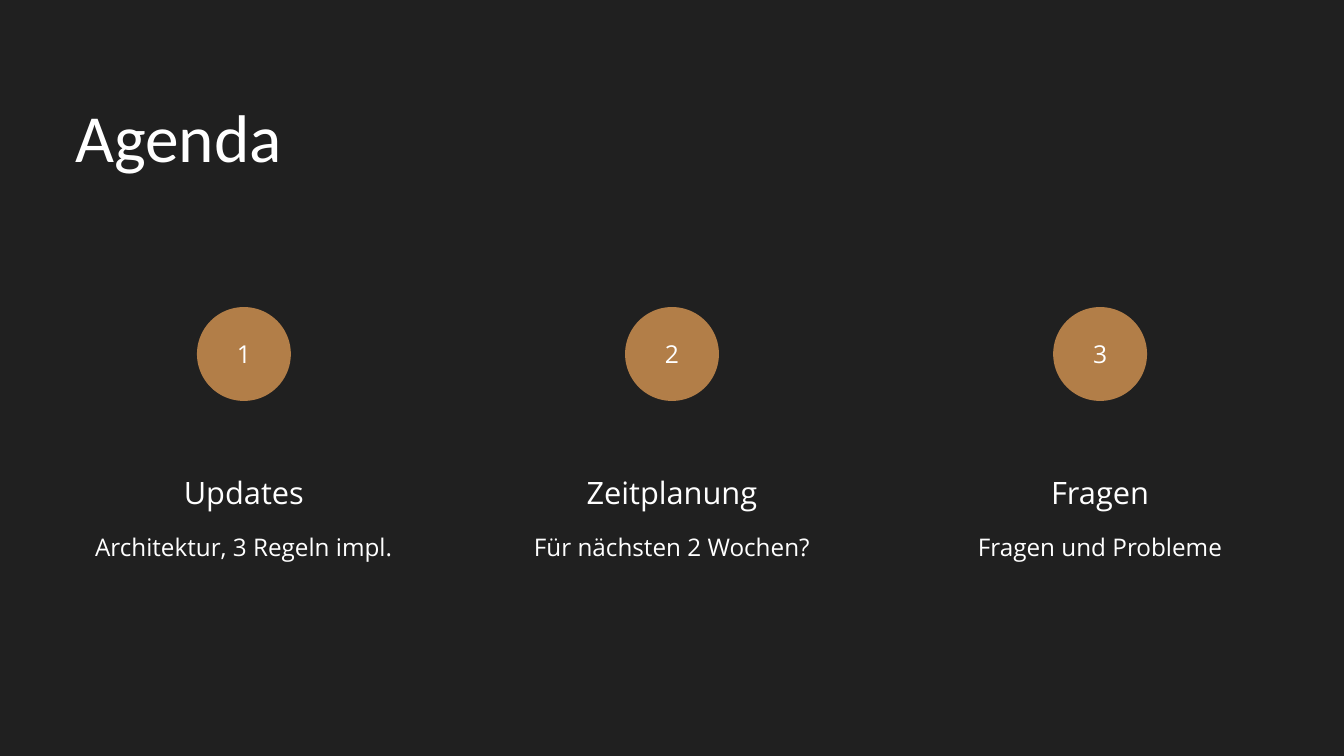
from dataclasses import dataclass

from pptx import Presentation, util as u
from pptx.dml.color import RGBColor
from pptx.enum import shapes, text

Pt = u.Pt


@dataclass(frozen=True)
class Style:
    font: str
    size: float
    leading: float
    align: text.PP_ALIGN = text.PP_ALIGN.CENTER


@dataclass(frozen=True)
class Theme:
    background: RGBColor = RGBColor(0x20, 0x20, 0x20)
    accent: RGBColor = RGBColor(0xB2, 0x7E, 0x48)
    ink: RGBColor = RGBColor(0xFF, 0xFF, 0xFF)
    title: Style = Style("Calibri", 72.2, 79.5, text.PP_ALIGN.LEFT)
    topic: Style = Style("Open Sans", 33, 46.2)
    detail: Style = Style("Open Sans", 26, 36.4)
    number: Style = Style("Open Sans", 26.4, 31.7)


THEME = Theme()
SLIDE_W, SLIDE_H = 1440, 810
MARGIN = 80.6
COLUMN_W = 361.4
AGENDA = [
    ("Updates", "Architektur, 3 Regeln impl."),
    ("Zeitplanung", "Für nächsten 2 Wochen?"),
    ("Fragen", "Fragen und Probleme"),
]


def add_line(parent, wording, style, left, top, width, height):
    """One line of text without insets, in the given style."""
    box = parent.add_textbox(Pt(left), Pt(top), Pt(width), Pt(height))
    frame = box.text_frame
    frame.word_wrap = True
    frame.margin_left = frame.margin_right = 0
    frame.margin_top = frame.margin_bottom = 0
    line = frame.paragraphs[0]
    line.text = wording
    line.alignment = style.align
    line.line_spacing = Pt(style.leading)
    line.font.name = style.font
    line.font.size = Pt(style.size)
    line.font.color.rgb = THEME.ink


def add_badge(slide, number, left, top, diameter):
    """Filled circle with its number, grouped."""
    badge = slide.shapes.add_group_shape().shapes
    circle = badge.add_shape(shapes.MSO_SHAPE.OVAL, Pt(left), Pt(top),
                             Pt(diameter), Pt(diameter))
    circle.shadow.inherit = False
    circle.fill.solid()
    circle.fill.fore_color.rgb = THEME.accent
    circle.line.fill.background()
    height = THEME.number.leading
    add_line(badge, str(number), THEME.number,
             left, top + (diameter - height) / 2, diameter, height)


def add_agenda_item(slide, number, topic, detail, left, top, width):
    """Badge, topic and detail, centred in one column."""
    diameter = 100.6
    add_badge(slide, number, left + (width - diameter) / 2, top, diameter)
    add_line(slide.shapes, topic, THEME.topic, left, top + 171.4, width, 44.6)
    add_line(slide.shapes, detail, THEME.detail, left, top + 236.2, width, 35.3)


def add_agenda(slide, left, top, width):
    """Agenda items in equal columns across the box."""
    pitch = (width - COLUMN_W) / (len(AGENDA) - 1)
    for i, (topic, detail) in enumerate(AGENDA):
        add_agenda_item(slide, i + 1, topic, detail,
                        left + i * pitch, top, COLUMN_W)


def main():
    deck = Presentation()
    deck.slide_width, deck.slide_height = Pt(SLIDE_W), Pt(SLIDE_H)
    slide = deck.slides.add_slide(deck.slide_layouts[6])
    slide.background.fill.solid()
    slide.background.fill.fore_color.rgb = THEME.background

    # Title
    add_line(slide.shapes, "Agenda", THEME.title, MARGIN, 108.7, 943.2, 80.6)
    # Agenda columns
    add_agenda(slide, MARGIN, 329, SLIDE_W - 2 * MARGIN)

    deck.save("out.pptx")


if __name__ == "__main__":
    main()
